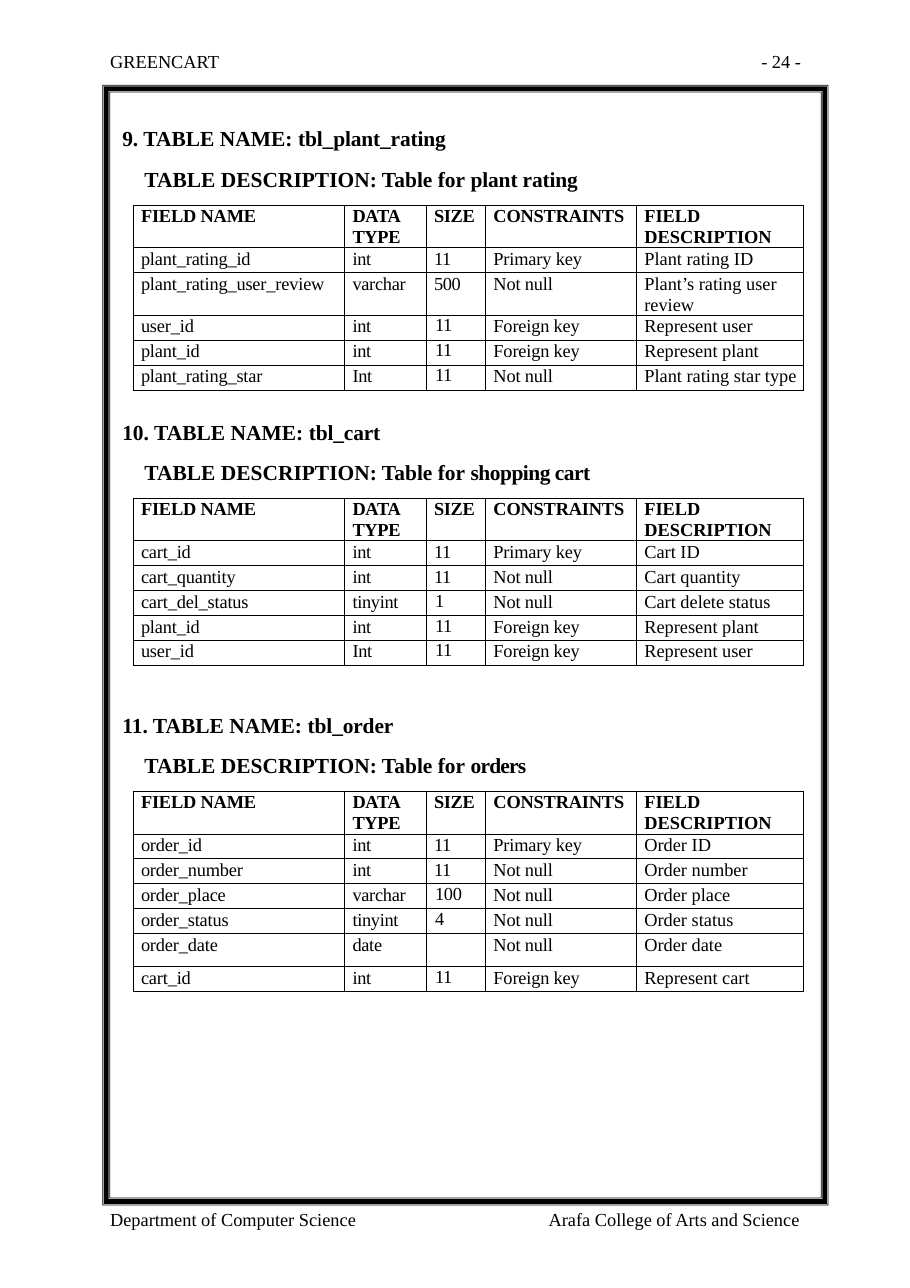
from lxml.etree import SubElement
from pptx import Presentation
from pptx.dml.color import RGBColor
from pptx.oxml.ns import qn
from pptx.util import Inches, Pt

COLORS = {"ink": "000000"}
INK = RGBColor.from_string(COLORS["ink"])
FONT = "Times New Roman"
BLANK_LAYOUT = 6

HEADER = ["FIELD NAME", "DATA\nTYPE", "SIZE", "CONSTRAINTS", "FIELD DESCRIPTION"]
COLUMN_WIDTHS = [1.92, 0.74, 0.54, 1.37, 1.51]
COLUMN_TRACKING = [-0.1, -0.2, -0.2, -0.1, 0]
SIZE_COLUMN = 2
SECTIONS = [
    ("9. TABLE NAME: ", "tbl_plant_rating", "plant rating", -0.1, [
        ["plant_rating_id", "int", "11", "Primary key", "Plant rating ID"],
        ["plant_rating_user_review", "varchar", "500", "Not null", "Plant’s rating user review"],
        ["user_id", "int", "11", "Foreign key", "Represent user"],
        ["plant_id", "int", "11", "Foreign key", "Represent plant"],
        ["plant_rating_star", "Int", "11", "Not null", "Plant rating star type"],
    ]),
    ("10. TABLE NAME: ", "tbl_cart", "shopping cart", -0.35, [
        ["cart_id", "int", "11", "Primary key", "Cart ID"],
        ["cart_quantity", "int", "11", "Not null", "Cart quantity"],
        ["cart_del_status", "tinyint", "1", "Not null", "Cart delete status"],
        ["plant_id", "int", "11", "Foreign key", "Represent plant"],
        ["user_id", "Int", "11", "Foreign key", "Represent user"],
    ]),
    ("11. TABLE NAME: ", "tbl_order", "orders", -0.5, [
        ["order_id", "int", "11", "Primary key", "Order ID"],
        ["order_number", "int", "11", "Not null", "Order number"],
        ["order_place", "varchar", "100", "Not null", "Order place"],
        ["order_status", "tinyint", "4", "Not null", "Order status"],
        ["order_date", "date", "", "Not null", "Order date"],
        ["cart_id", "int", "11", "Foreign key", "Represent cart"],
    ]),
]


def style_para(para, size, bold, indent, tracking):
    para._p.get_or_add_pPr().set("marL", str(Inches(indent)))
    for span, spacing in zip(para.runs, tracking):
        span.font.name = FONT
        span.font.size = Pt(size)
        span.font.bold = bold
        span.font.color.rgb = INK
        span._r.get_or_add_rPr().set("spc", str(round(spacing * 100)))


def add_box(left, top, width, height, inset_top):
    box = page.shapes.add_textbox(Inches(left), Inches(top), Inches(width), Inches(height))
    frame = box.text_frame
    frame.word_wrap = True
    frame.margin_left = frame.margin_right = frame.margin_bottom = 0
    frame.margin_top = Inches(inset_top)
    return frame


deck = Presentation()
deck.slide_width, deck.slide_height = Inches(8.26), Inches(11.69)
page = deck.slides.add_slide(deck.slide_layouts[BLANK_LAYOUT])

for text, left, top, width, inset_top in [
    ("GREENCART", 0.99, 0.45, 1.79, 0.01),
    ("- 24 -", 6.9, 0.45, 0.39, 0.01),
    ("Department of Computer Science", 0.99, 10.97, 2.26, 0),
    ("Arafa College of Arts and Science", 4.97, 10.97, 2.32, 0),
]:
    para = add_box(left, top, width, 0.22, inset_top).paragraphs[0]
    para.text = text
    para.line_spacing = Pt(14.1)
    style_para(para, 12, False, 0.01, [0])

border_rings = []
for inset in (0, 0.5, 1, 4, 4.5, 5):
    left, top = Inches(0.93) + Pt(inset), Inches(0.77) + Pt(inset)
    right, bottom = Inches(7.52) - Pt(inset), Inches(10.94) - Pt(inset)
    border_rings.append([(left, top), (right, top), (right, bottom), (left, bottom)])
builder = page.shapes.build_freeform(*border_rings[0][0])
builder.add_line_segments(border_rings[0][1:], close=True)
for ring in border_rings[1:]:
    builder.move_to(*ring[0])
    builder.add_line_segments(ring[1:], close=True)
page_border = builder.convert_to_shape()
page_border.shadow.inherit = False
page_border.fill.solid()
page_border.fill.fore_color.rgb = INK
page_border.line.fill.background()

for section, (number, table_name, subject, tracking, records) in enumerate(SECTIONS):
    top = 1.01 + section * 2.66
    heading = add_box(1.1, top, 6.02, 0.73, 0.13)
    name_para, description_para = heading.paragraphs[0], heading.add_paragraph()
    description_para.space_before = Pt(9.4)
    for para, label, value, indent, spacing in [
        (name_para, number, table_name, 0.01, -0.1),
        (description_para, "TABLE DESCRIPTION: Table for ", subject, 0.21, tracking),
    ]:
        para.text = label
        para.add_run().text = value
        style_para(para, 14, True, indent, [0, spacing])

    rows = [HEADER] + records
    row_heights = [Pt(28)] + [Pt(16.3)] * len(records)
    table = page.shapes.add_table(
        len(rows), len(HEADER), Inches(1.21), Inches(top + 0.85),
        Inches(sum(COLUMN_WIDTHS)), sum(row_heights)).table
    table.first_row = table.horz_banding = False
    for column, width in zip(table.columns, COLUMN_WIDTHS):
        column.width = Inches(width)
    for row_index, values in enumerate(rows):
        table.rows[row_index].height = row_heights[row_index]
        for column_index, value in enumerate(values):
            cell = table.cell(row_index, column_index)
            cell.margin_left = cell.margin_right = cell.margin_top = cell.margin_bottom = 0
            for side in ("lnL", "lnR", "lnT", "lnB"):
                edge = SubElement(cell._tc.get_or_add_tcPr(), qn(f"a:{side}"), w=str(Pt(0.5)))
                SubElement(SubElement(edge, qn("a:solidFill")), qn("a:srgbClr"), val=COLORS["ink"])
            cell.fill.background()
            cell.text_frame.text = value
            natural_line = column_index == SIZE_COLUMN and row_index > 2 and value
            for para in cell.text_frame.paragraphs:
                if not natural_line:
                    para.line_spacing = Pt(14 if row_index else 13.8)
                style_para(para, 12, row_index == 0, 0.08 if natural_line else 0.07,
                           [COLUMN_TRACKING[column_index]])

deck.save("out.pptx")
